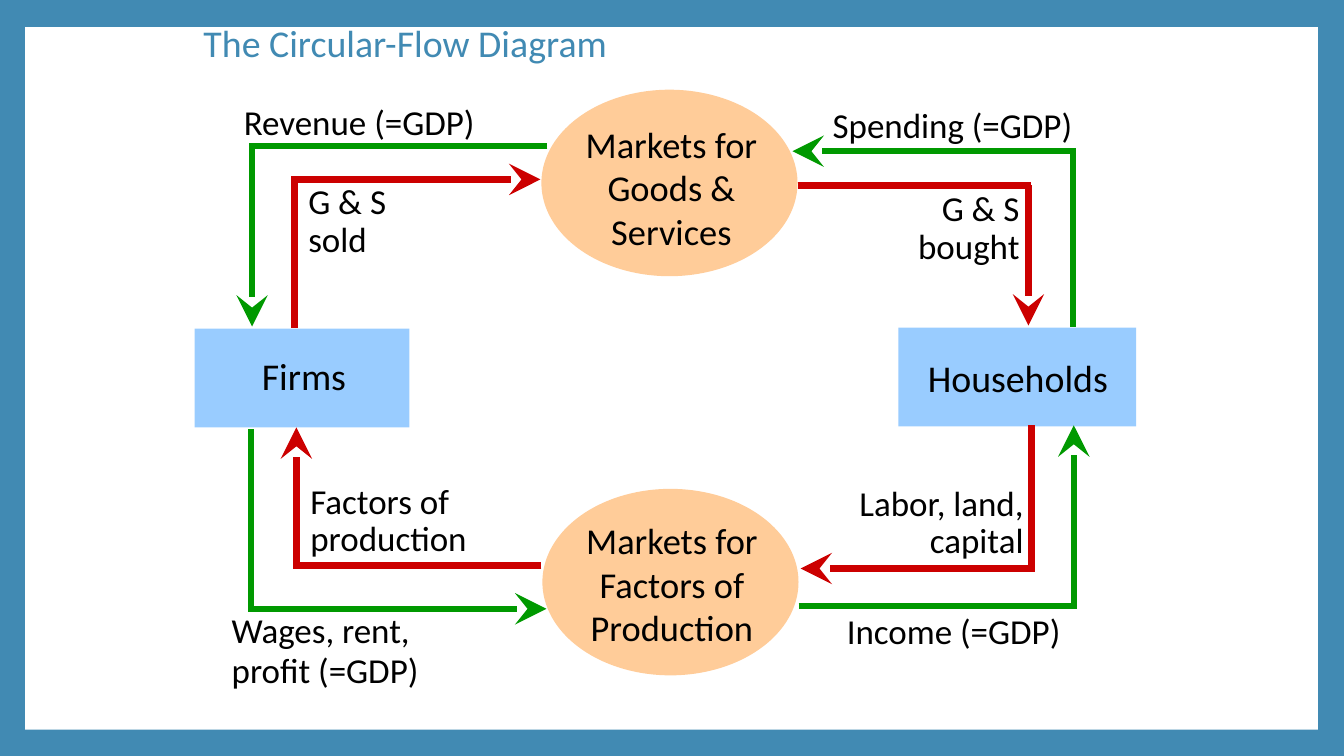
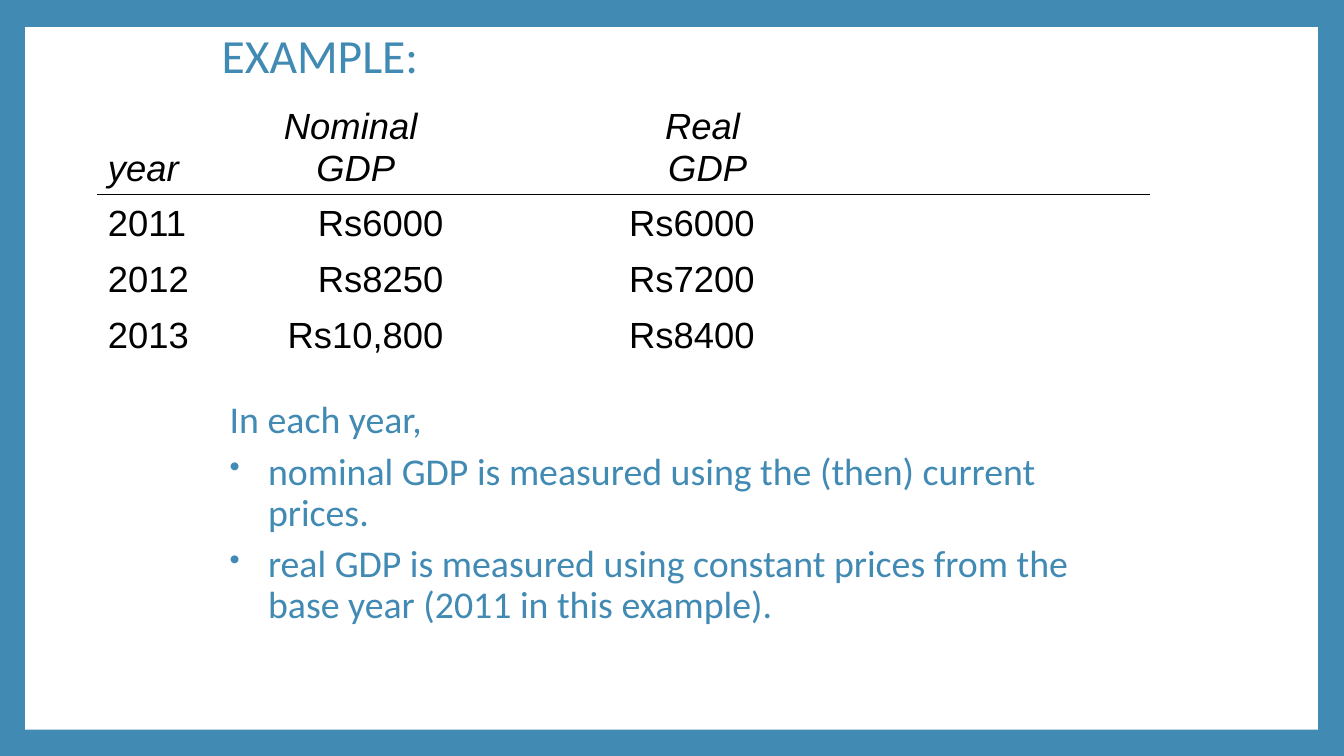
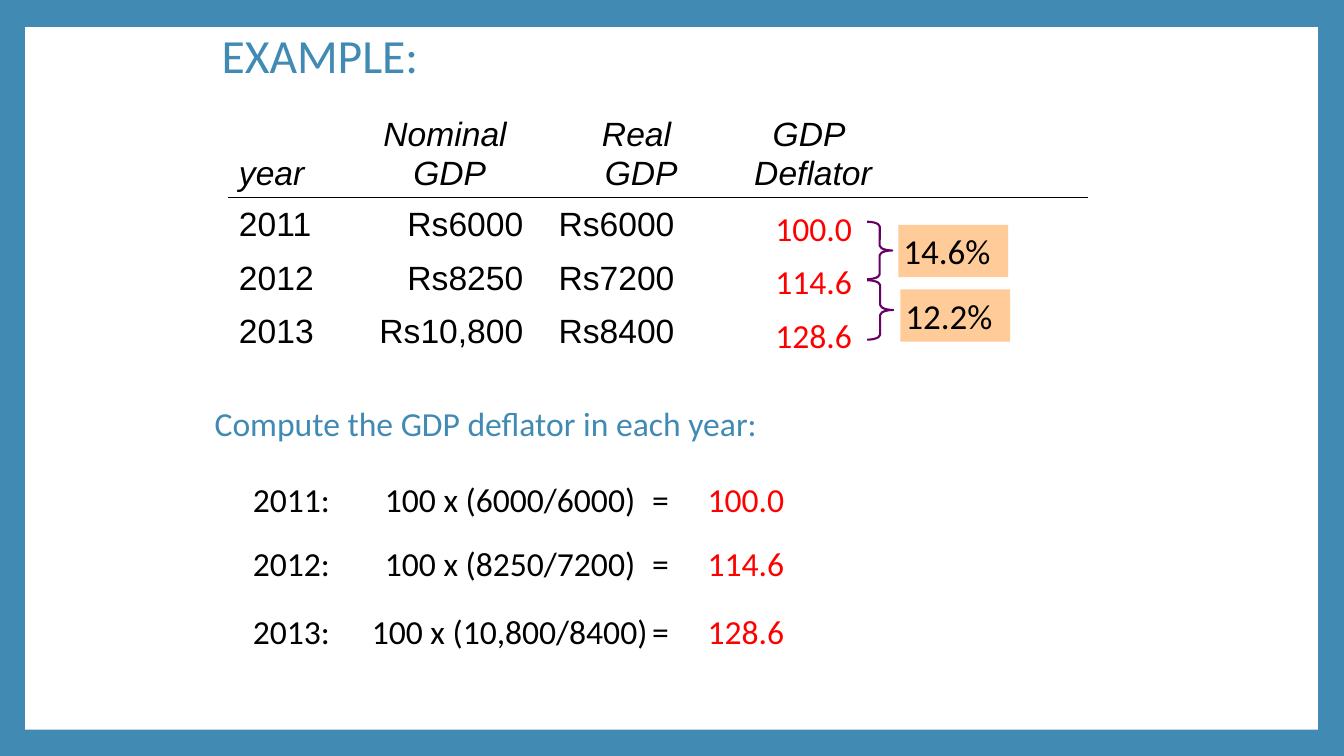
import lxml.etree
import pptx
import pptx.dml.color
import pptx.enum.shapes
import pptx.enum.text
import pptx.oxml.ns
import pptx.util

Inches = pptx.util.Inches
Pt = pptx.util.Pt
qn = pptx.oxml.ns.qn
SHAPE = pptx.enum.shapes.MSO_SHAPE
ALIGN = pptx.enum.text.PP_ALIGN
ANCHOR = pptx.enum.text.MSO_ANCHOR

# Shared look
BLUE, WHITE, BLACK = "418AB3", "FFFFFF", "000000"
PEACH, SKY, GREEN, RED = "FFCC99", "99CCFF", "009900", "CC0000"
RESULT, PURPLE = "FF0000", "660066"
BASE_FONT = {"name": "Calibri", "size": Pt(25), "bold": False, "italic": False}
LINE_WIDTH = 4.5
CORNER_OVERLAP = 0.03
ROW_HEIGHT = 0.53


def rgb(value):
    return pptx.dml.color.RGBColor.from_string(value)


def set_all(obj, values):
    for name, value in values.items():
        setattr(obj, name, value)


def add_xml(parent, tag, **attrs):
    return lxml.etree.SubElement(parent, qn(tag), attrs)


# Text
def add_runs(p, text, color=BLACK, **font):
    for i, line in enumerate(text.split("\n")):
        if i:
            p.add_line_break()
        r = p.add_run()
        r.text = line
        set_all(r.font, {**BASE_FONT, **font})
        r.font.color.rgb = rgb(color)


def add_text(s, box, text="", color=BLACK, align=ALIGN.LEFT, spacing=1.0,
             anchor=ANCHOR.TOP, **font):
    sp = s.shapes.add_textbox(*map(Inches, box))
    tf = sp.text_frame
    set_all(tf, {"word_wrap": True, "vertical_anchor": anchor})
    p = tf.paragraphs[0]
    set_all(p, {"alignment": align, "line_spacing": spacing})
    if text:
        add_runs(p, text, color, **font)
    return tf


def add_bullet(tf, text, indent=0.38, **font):
    p = tf.add_paragraph()
    set_all(p, {"line_spacing": 0.9, "space_before": Pt(7.5)})
    pPr = p._p.get_or_add_pPr()
    pPr.set("marL", str(Inches(indent)))
    pPr.set("indent", str(-Inches(indent)))
    add_xml(add_xml(pPr, "a:buClr"), "a:srgbClr", val=BLUE)
    add_xml(pPr, "a:buSzPct", val="80000")
    add_xml(pPr, "a:buChar", char="•")
    add_runs(p, text, **font)


def add_tab_stops(p, stops):
    tabs = add_xml(p._p.get_or_add_pPr(), "a:tabLst")
    for stop in stops:
        add_xml(tabs, "a:tab", pos=str(Inches(stop)), algn="l")


# Shapes and lines
def add_shape(s, kind, box, fill=None, line=None):
    sp = s.shapes.add_shape(kind, *map(Inches, box))
    sp.shadow.inherit = False
    if fill:
        sp.fill.solid()
        sp.fill.fore_color.rgb = rgb(fill)
    else:
        sp.fill.background()
    if line:
        sp.line.color.rgb = rgb(line)
        sp.line.width = Pt(1.5)
    else:
        sp.line.fill.background()
    return sp


def add_line(s, start, end, color, arrow=False):
    con = s.shapes.add_connector(pptx.enum.shapes.MSO_CONNECTOR.STRAIGHT,
                                 *map(Inches, (*start, *end)))
    con.line.color.rgb = rgb(color)
    con.line.width = Pt(LINE_WIDTH)
    spPr = con._element.spPr
    if arrow:
        add_xml(spPr.find(qn("a:ln")), "a:tailEnd", type="stealth", w="lg", len="lg")
    add_xml(spPr, "a:effectLst")


def add_flow(s, start, corner, end, color):
    """Draw a right-angled flow; the first leg covers the corner."""
    past = [c + CORNER_OVERLAP * ((c > a) - (c < a)) for a, c in zip(start, corner)]
    add_line(s, start, past, color)
    add_line(s, corner, end, color, arrow=True)


# Table
def add_table(s, left, top, widths, header_height, rows, size):
    heights = [header_height] + [ROW_HEIGHT] * (len(rows) - 1)
    box = (left, top, sum(widths), sum(heights))
    table = s.shapes.add_table(len(rows), len(widths), *map(Inches, box)).table
    set_all(table, {"first_row": False, "horz_banding": False})
    for col, width in zip(table.columns, widths):
        col.width = Inches(width)
    for i, (row, height, values) in enumerate(zip(table.rows, heights, rows)):
        row.height = Inches(height)
        for j, (cell, text) in enumerate(zip(row.cells, values)):
            cell.fill.background()
            cell.vertical_anchor = ANCHOR.MIDDLE if i else ANCHOR.BOTTOM
            if i < 2:
                add_rule(cell, "a:lnT" if i else "a:lnB")
            align = ALIGN.LEFT
            if i and j == 1:
                align = ALIGN.RIGHT
                cell.margin_right = Inches(0.25)
            elif not i and j:
                align = ALIGN.CENTER
            if text:
                p = cell.text_frame.paragraphs[0]
                set_all(p, {"alignment": align, "line_spacing": 1.05})
                add_runs(p, text, name="Arial", size=Pt(size), italic=not i)


def add_rule(cell, tag):
    tcPr = cell._tc.get_or_add_tcPr()
    ln = add_xml(tcPr, tag, w=str(Pt(1)))
    add_xml(add_xml(ln, "a:solidFill"), "a:srgbClr", val=BLACK)
    tcPr.insert(0, ln)


# Slides
def new_slide(prs, title, box, size):
    s = prs.slides.add_slide(prs.slide_layouts[6])
    s.background.fill.solid()
    s.background.fill.fore_color.rgb = rgb(BLUE)
    add_shape(s, SHAPE.RECTANGLE, (0.25, 0.27, 12.82, 6.97), WHITE)
    add_text(s, box, title, BLUE, spacing=0.9, anchor=ANCHOR.MIDDLE, size=Pt(size))
    return s


def new_example_slide(prs):
    return new_slide(prs, "EXAMPLE:", (2.1, 0.27, 7.38, 0.62), 34)


def circular_flow_slide(prs):
    s = new_slide(prs, "The Circular-Flow Diagram", (1.92, 0.15, 9, 0.6), 27)

    # Markets, firms and households
    nodes = [
        (SHAPE.OVAL, (5.38, 4.85, 2.54, 1.85), PEACH,
         (5.34, 5.09, 2.65, 1.4), "Markets for Factors of Production", 26),
        (SHAPE.OVAL, (5.37, 0.89, 2.54, 1.85), PEACH,
         (5.47, 1.16, 2.38, 1.4), "Markets for Goods & Services", 26),
        (SHAPE.RECTANGLE, (8.91, 3.25, 2.36, 0.98), SKY,
         (8.96, 3.47, 2.27, 0.55), "Households", 27),
        (SHAPE.RECTANGLE, (1.93, 3.26, 2.13, 0.98), SKY,
         (2.13, 3.45, 1.77, 0.55), "Firms", 27),
    ]
    for kind, box, fill, text_box, text, size in nodes:
        add_shape(s, kind, box, fill)
        add_text(s, text_box, text, align=ALIGN.CENTER, size=Pt(size))

    # Flows: start, corner, end
    flows = [
        ((7.92, 6.01), (10.65, 6.01), (10.65, 4.22), GREEN),
        ((2.49, 4.26), (2.49, 6.04), (5.42, 6.04), GREEN),
        ((5.37, 5.61), (2.94, 5.61), (2.94, 4.24), RED),
        ((10.23, 4.22), (10.23, 5.64), (7.94, 5.64), RED),
        ((10.64, 3.24), (10.64, 1.5), (7.86, 1.5), GREEN),
        ((7.91, 1.84), (10.2, 1.84), (10.2, 3.23), RED),
        ((2.92, 3.25), (2.92, 1.78), (5.36, 1.78), RED),
        ((5.43, 1.45), (2.5, 1.45), (2.5, 3.24), GREEN),
    ]
    for flow in flows:
        add_flow(s, *flow)

    # Flow labels
    labels = [
        ((8.3, 6, 2.79, 0.52), "Income (=GDP)", ALIGN.LEFT, 1.0),
        ((2.2, 6.02, 2.44, 0.89), "Wages, rent, profit (=GDP)", ALIGN.LEFT, 0.95),
        ((2.98, 4.75, 2.19, 0.85), "Factors of production", ALIGN.LEFT, 0.9),
        ((8.06, 4.77, 2.19, 0.85), "Labor, land, capital", ALIGN.RIGHT, 0.9),
        ((8.16, 0.98, 3.16, 0.52), "Spending (=GDP)", ALIGN.LEFT, 1.0),
        ((8.78, 1.85, 1.43, 0.85), "G & S bought", ALIGN.RIGHT, 0.9),
        ((2.96, 1.78, 1.43, 0.85), "G & S sold", ALIGN.LEFT, 0.9),
        ((2.32, 0.95, 3.16, 0.52), "Revenue (=GDP)", ALIGN.LEFT, 1.0),
    ]
    for box, text, align, spacing in labels:
        add_text(s, box, text, align=align, spacing=spacing)


def gdp_slide(prs):
    s = new_example_slide(prs)
    add_table(s, 0.97, 0.92, [1.44, 2.24, 1.49, 1.76, 3.5], 0.94, [
        ["year", "Nominal \nGDP", "", "Real \nGDP", ""],
        ["2011", "Rs6000", "", "Rs6000", ""],
        ["2012", "Rs8250", "", "Rs7200", ""],
        ["2013", "Rs10,800", "", "Rs8400", ""],
    ], 26)
    font = {"color": BLUE, "size": Pt(27)}
    tf = add_text(s, (2.18, 3.93, 8.81, 2.96), "In each year,", spacing=0.9, **font)
    for text in (
        "nominal GDP is measured using the (then) current prices.",
        "real GDP is measured using constant prices from the base year "
        "(2011 in this example).",
    ):
        add_bullet(tf, text, **font)


def deflator_slide(prs):
    s = new_example_slide(prs)
    size = Pt(24)
    add_text(s, (2.03, 3.99, 8.91, 0.59), "Compute the GDP deflator in each year:",
             BLUE, spacing=0.9, size=size)
    add_table(s, 2.27, 1.02, [1.21, 1.96, 1.84, 1.57, 1.94], 0.87, [
        ["year", "Nominal \nGDP", "Real \nGDP", "GDP \nDeflator", ""],
        ["2011", "Rs6000", "Rs6000", "", ""],
        ["2012", "Rs8250", "Rs7200", "", ""],
        ["2013", "Rs10,800", "Rs8400", "", ""],
    ], 24)

    # Calculations, with each result repeated beside the table
    calculations = [
        ("2011", "100 x (6000/6000)", "100.0", 4.68, 1.31),
        ("2012", "100 x (8250/7200)", "114.6", 5.32, 1.31),
        ("2013", "100 x (10,800/8400)", "128.6", 5.99, 1.18),
    ]
    for i, (year, formula, result, top, formula_tab) in enumerate(calculations):
        p = add_text(s, (2.41, top, 6.86, 0.59), spacing=1.05).paragraphs[0]
        add_tab_stops(p, (formula_tab, 3.96, 4.51))
        add_runs(p, f"{year}:\t{formula}\t=\t", size=size)
        add_runs(p, result, RESULT, size=size)
        add_text(s, (7.46, 2.01 + ROW_HEIGHT * i, 1.22, 0.48), result, RESULT,
                 ALIGN.CENTER, 1.05, ANCHOR.MIDDLE, size=size)

    # Inflation rates with braces
    margins = {f"margin_{side}": Inches(0.05)
               for side in ("left", "top", "right", "bottom")}
    rates = [
        ("14.6%", (8.91, 2.23, 1.09, 0.52), (8.6, 2.2, 0.25, 0.57)),
        ("12.2%", (8.93, 2.87, 1.09, 0.52), (8.6, 2.78, 0.26, 0.59)),
    ]
    for rate, box, brace_box in rates:
        sp = add_shape(s, SHAPE.RECTANGLE, box, PEACH)
        tf = sp.text_frame
        set_all(tf, {**margins, "word_wrap": True, "vertical_anchor": ANCHOR.TOP})
        tf.paragraphs[0].alignment = ALIGN.LEFT
        add_runs(tf.paragraphs[0], rate)
        brace = add_shape(s, SHAPE.RIGHT_BRACE, brace_box, line=PURPLE)
        brace.adjustments[0] = 0.19


def main():
    prs = pptx.Presentation()
    set_all(prs, {"slide_width": Inches(13.33), "slide_height": Inches(7.5)})
    circular_flow_slide(prs)
    gdp_slide(prs)
    deflator_slide(prs)
    prs.save("out.pptx")


if __name__ == "__main__":
    main()
